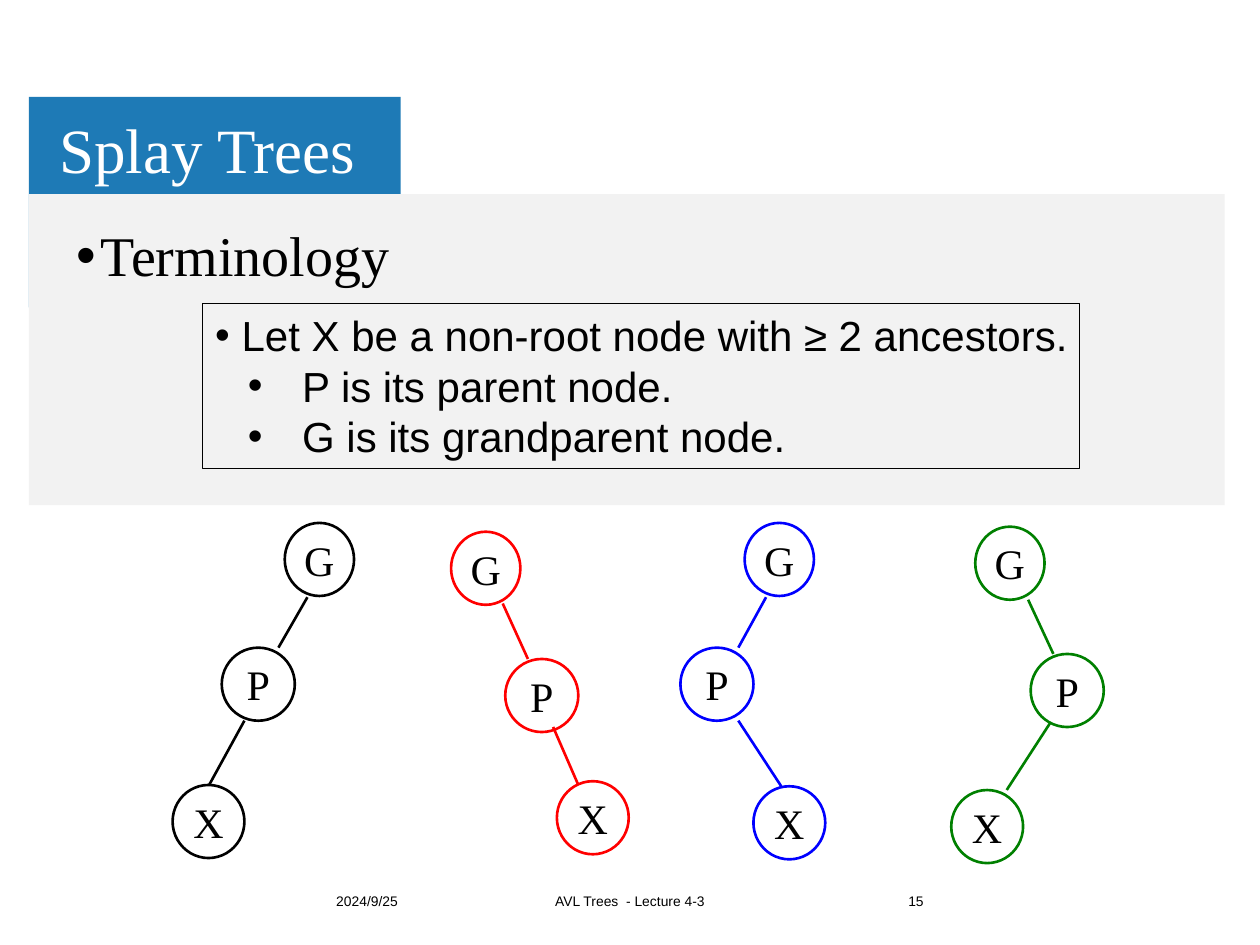
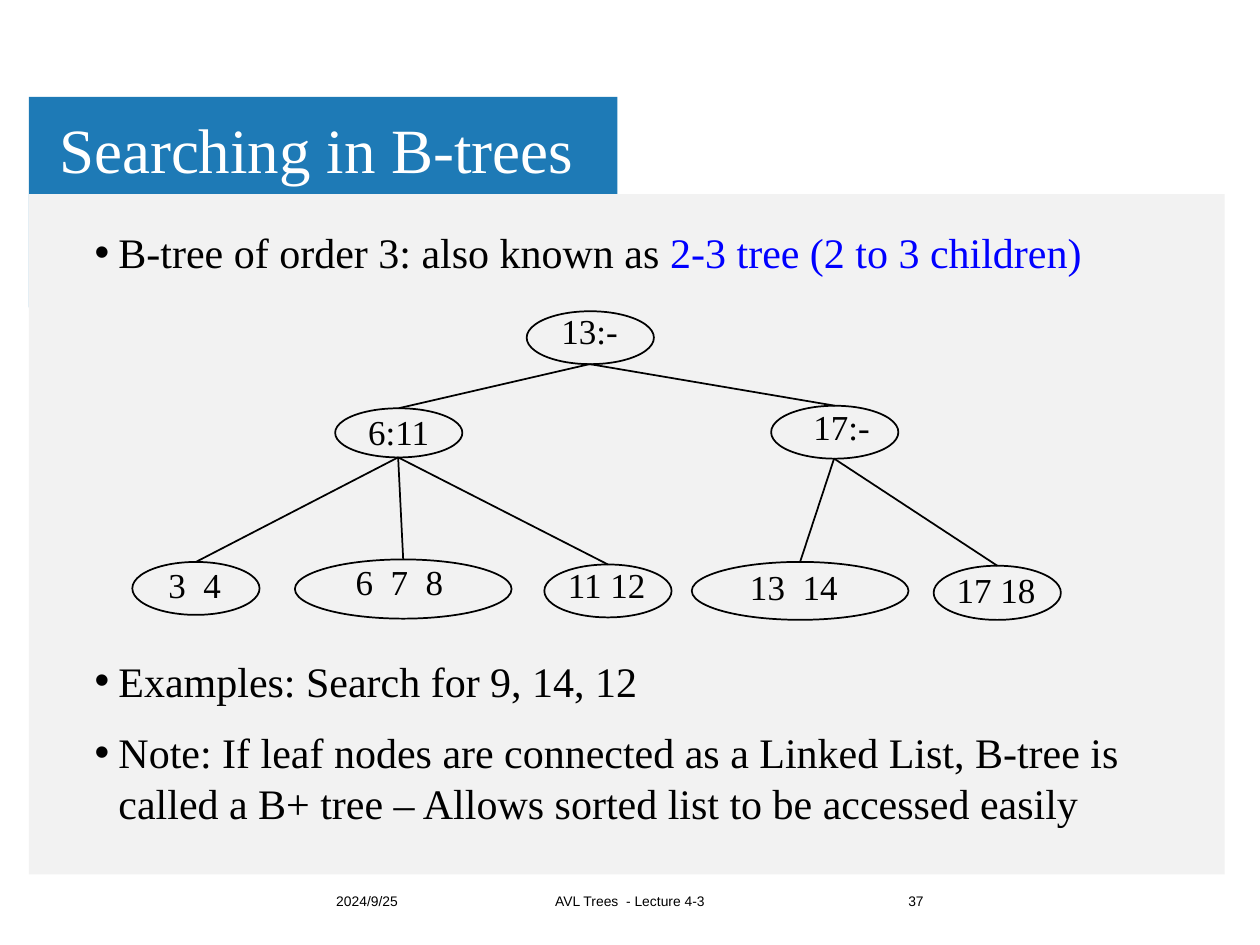
import pptx
import pptx.dml.color
import pptx.enum.shapes
import pptx.enum.text
import pptx.oxml.ns
import pptx.util
import lxml.etree

PX = 9144
HUES = {
    "band": "1E7AB6",
    "panel": "F2F2F2",
    "white": "FFFFFF",
    "black": "000000",
    "blue": "0000FF",
    "red": "FF0000",
    "green": "008000",
}
SERIF = "Times New Roman"
SANS = "Arial"
ALIGN = pptx.enum.text.PP_ALIGN
ANCHOR = pptx.enum.text.MSO_ANCHOR
SHAPE = pptx.enum.shapes.MSO_SHAPE


def hue(name):
    return pptx.dml.color.RGBColor.from_string(HUES[name])


def px(*nums):
    return [pptx.util.Emu(num * PX) for num in nums]


class Deck:
    def __init__(self):
        self.file = pptx.Presentation()
        self.file.slide_width, self.file.slide_height = px(1000, 750)
        self.slide = None

    def page(self, title, number, wide, tall):
        self.slide = self.file.slides.add_slide(self.file.slide_layouts[1])
        head = self.slide.shapes.title
        for box, tone in (((23, 77, wide, 167), "band"), ((23, 154, 949, tall), "panel")):
            band = self.shape(SHAPE.RECTANGLE, box, fill=tone)
            head._element.addprevious(band._element)
        self.place(head, (40, 82, 628, 79))
        frame = self.frame(head, (7, 4, 7, 4), ANCHOR.MIDDLE)
        self.para(frame, [(title, "white")], 36, gap=0.9)
        for text, left, width, align in (
            ("2024/9/25", 257, 127, ALIGN.LEFT),
            ("AVL Trees  - Lecture 4-3", 405, 190, ALIGN.CENTER),
            (number, 616, 127, ALIGN.RIGHT),
        ):
            self.label(text, (left, 695, width, 40), 7.9, SANS, align, (10, 5, 10, 5), ANCHOR.MIDDLE)

    def place(self, item, box):
        item.left, item.top, item.width, item.height = px(*box)

    def frame(self, item, inset=(10, 5, 10, 5), anchor=ANCHOR.TOP, wrap=True):
        frame = item.text_frame
        frame.auto_size = pptx.enum.text.MSO_AUTO_SIZE.NONE
        frame.word_wrap = wrap
        frame.vertical_anchor = anchor
        (frame.margin_left, frame.margin_top,
         frame.margin_right, frame.margin_bottom) = px(*inset)
        return frame

    def para(self, frame, runs, size, font=SERIF, align=ALIGN.LEFT, gap=1.0,
             before=0, bullet=None, level=0):
        para = frame.paragraphs[0]
        if para.runs:
            para = frame.add_paragraph()
        para.alignment = align
        para.line_spacing = gap
        para.space_before = pptx.util.Pt(before)
        para.level = level
        if bullet:
            left, hang = bullet
            props = para._p.get_or_add_pPr()
            props.set("marL", str(left * PX))
            props.set("indent", str(-hang * PX))
            for tag, key, value in (("a:buFont", "typeface", SANS), ("a:buChar", "char", "•")):
                lxml.etree.SubElement(props, pptx.oxml.ns.qn(tag)).set(key, value)
        for text, tone in runs:
            run = para.add_run()
            run.text = text
            run.font.size = pptx.util.Pt(size)
            run.font.name = font
            run.font.color.rgb = hue(tone)

    def body(self, box):
        item = self.slide.placeholders[1]
        self.place(item, box)
        return self.frame(item)

    def label(self, text, box, size, font=SERIF, align=ALIGN.CENTER,
              inset=(0, 0, 0, 0), anchor=ANCHOR.TOP, gap=1.0):
        item = self.slide.shapes.add_textbox(*px(*box))
        frame = self.frame(item, inset, anchor)
        self.para(frame, [(text, "black")], size, font, align, gap)

    def shape(self, kind, box, fill=None, line=None, weight=1):
        item = self.slide.shapes.add_shape(kind, *px(*box))
        item.shadow.inherit = False
        if fill:
            item.fill.solid()
            item.fill.fore_color.rgb = hue(fill)
        else:
            item.fill.background()
        if line:
            item.line.color.rgb = hue(line)
            item.line.width = pptx.util.Pt(weight)
        else:
            item.line.fill.background()
        return item

    def node(self, text, box, tone):
        item = self.shape(SHAPE.OVAL, box, line=tone, weight=1.5)
        frame = self.frame(item, anchor=ANCHOR.MIDDLE, wrap=False)
        self.para(frame, [(text, "black")], 24, align=ALIGN.CENTER)

    def link(self, ends, tone, weight):
        item = self.slide.shapes.add_connector(
            pptx.enum.shapes.MSO_CONNECTOR.STRAIGHT, *px(*ends))
        item.line.color.rgb = hue(tone)
        item.line.width = pptx.util.Pt(weight)
        lxml.etree.SubElement(item._element.spPr, pptx.oxml.ns.qn("a:effectLst"))
        return item


def splay(deck):
    deck.page("Splay Trees", "15", 295, 247)
    frame = deck.body((51, 176, 483, 60))
    deck.para(frame, [("Terminology", "black")], 32, gap=0.9, bullet=(19, 19))

    terms = deck.shape(SHAPE.RECTANGLE, (161, 241, 696, 131), line="black", weight=0.75)
    frame = deck.frame(terms, (10, 5, 0, 5))
    for text, level, bullet in (
        ("Let X be a non-root node with ≥ 2 ancestors.", 0, (21, 21)),
        ("P is its parent node.", 1, (69, 43)),
        ("G is its grandparent node.", 1, (69, 43)),
    ):
        deck.para(frame, [(text, "black")], 24, SANS, bullet=bullet, level=level)

    trees = (
        ("black", (226, 415), (176, 514), (137, 623),
         (244, 474, 221, 514), (194, 572, 166, 623)),
        ("red", (358, 422), (401, 523), (442, 620),
         (399, 479, 419, 523), (439, 577, 459, 623)),
        ("blue", (591, 415), (540, 514), (598, 624),
         (608, 474, 586, 514), (586, 572, 620, 624)),
        ("green", (774, 418), (818, 519), (755, 627),
         (816, 476, 836, 519), (834, 573, 799, 627)),
    )
    for tone, grand, parent, child, upper, lower in trees:
        for text, spot, width in (("G", grand, 55), ("P", parent, 58), ("X", child, 57)):
            deck.node(text, (*spot, width, 58), tone)
        for ends in (upper, lower):
            deck.link(ends, tone, 1.5)


def search(deck):
    deck.page("Searching in B-trees", "37", 467, 540)
    frame = deck.body((65, 175, 839, 500))
    note = ("Note: If leaf nodes are connected as a Linked List, B-tree is "
            "called a B+ tree – Allows sorted list to be accessed easily")
    for runs, before in (
        ([("B-tree of order 3: also known as ", "black"),
          ("2-3 tree (2 to 3 children)", "blue")], 0),
        ([("Examples: Search for 9, 14, 12", "black")], 216),
        ([(note, "black")], 12),
    ):
        deck.para(frame, runs, 24, before=before, bullet=(19, 19))

    nodes = {
        "13:-": ((418, 247, 101, 42), (439, 251, 58, 32)),
        "6:11": ((266, 324, 101, 39), (280, 331, 73, 32)),
        "17:-": ((612, 322, 101, 42), (637, 327, 62, 32)),
        "3  4": ((105, 446, 101, 42), (130, 452, 49, 32)),
        "6  7  8": ((234, 444, 172, 47), (276, 450, 82, 32)),
        "11 12": ((432, 448, 101, 42), (435, 452, 93, 32)),
        "13  14": ((549, 446, 172, 46), (589, 454, 82, 32)),
        "17 18": ((741, 449, 101, 43), (753, 456, 75, 32)),
    }
    ovals = {}
    for text, (oval, box) in nodes.items():
        ovals[text] = deck.shape(SHAPE.OVAL, oval, line="black")
        deck.label(text, box, 20, gap=0.85)

    kids = {
        "13:-": ("6:11", "17:-"),
        "6:11": ("3  4", "6  7  8", "11 12"),
        "17:-": ("13  14", "17 18"),
    }
    for root, group in kids.items():
        left, top, width, height = nodes[root][0]
        start = (left + width // 2, top + height)
        for kid in group:
            line = deck.link((*start, *start), "black", 1)
            line.end_connect(ovals[kid], 0)


def main():
    deck = Deck()
    splay(deck)
    search(deck)
    deck.file.save("out.pptx")


if __name__ == "__main__":
    main()
